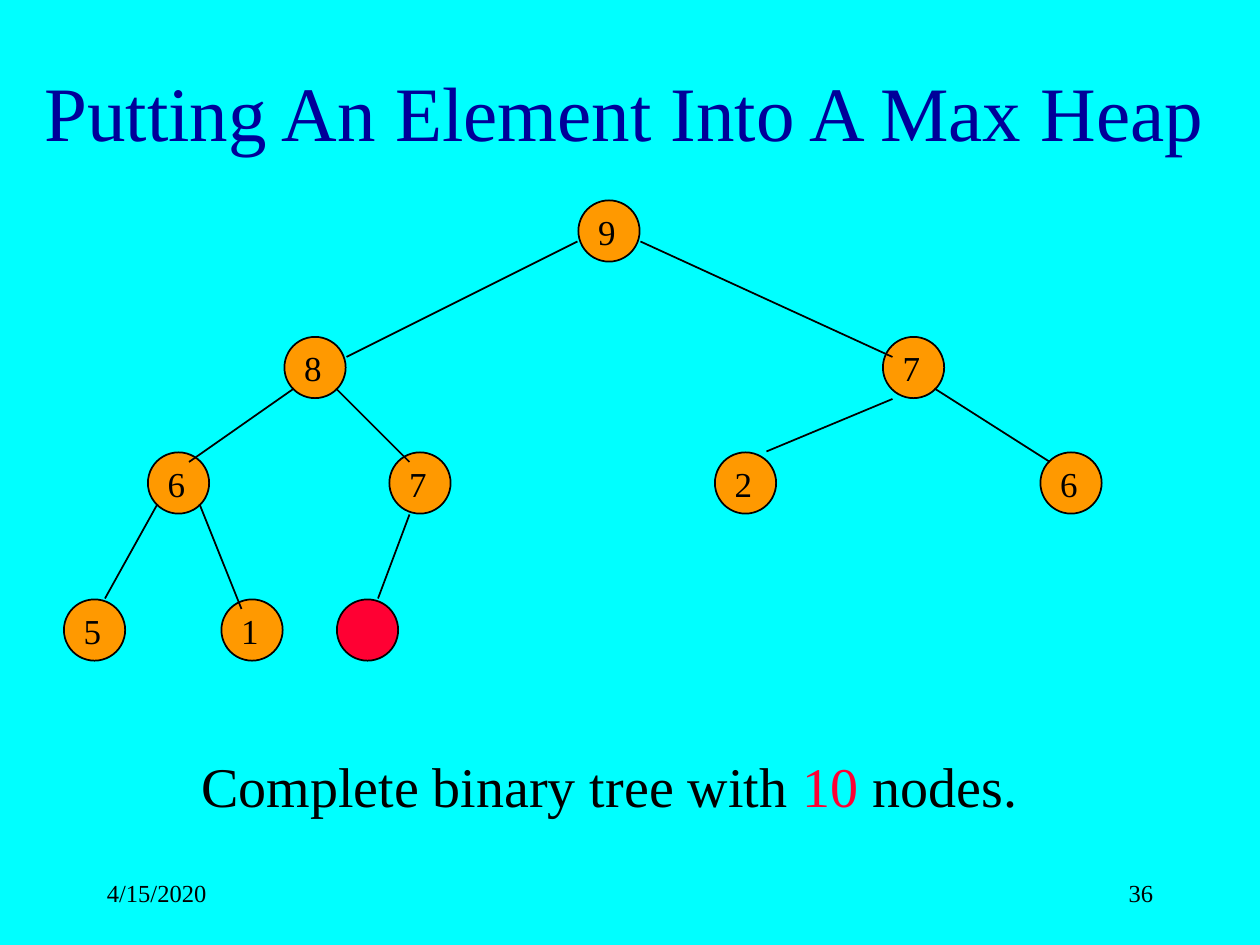
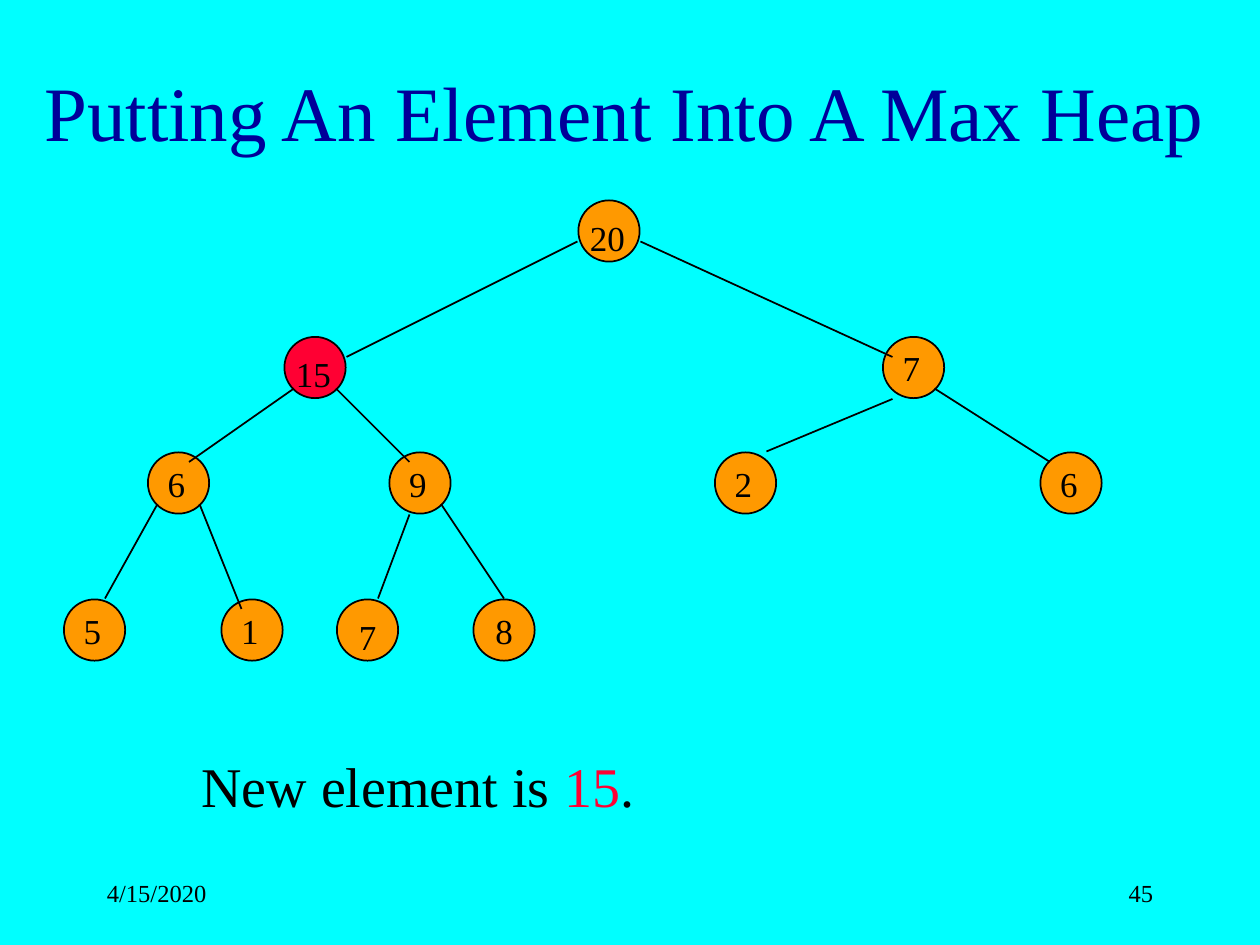
from lxml import etree
from pptx import Presentation
from pptx.dml.color import RGBColor
from pptx.enum import shapes, text
from pptx.oxml.ns import qn
from pptx.util import Pt

HUES = {"back": "00FFFF", "title": "000099", "ink": "000000",
        "node": "FF9900", "hot": "FF0033"}
FONT = "Times New Roman"
SIZE = 35  # node diameter

# Heap order: left and top of each node
ROWS = [(114.5, [330.5]),
        (192.5, [162.5, 504.5]),
        (258.5, [84.5, 222.5, 408.5, 594.5]),
        (342.5, [36.5, 126.5, 192.5, 270.5])]
SPOTS = [(x, y) for y, row in ROWS for x in row]

# Edge from the parent down to each node after the root
EDGES = [(330, 138, 198, 204), (366, 138, 510, 204),
         (168, 222, 108, 264), (192, 222, 234, 264),
         (510, 228, 438, 258), (534, 222, 600, 264),
         (90, 288, 60, 342), (114, 288, 138, 348),
         (234, 294, 216, 342), (252, 288, 288, 342)]


def hue(name):
    return RGBColor.from_string(HUES[name])


class Deck:
    def __init__(self):
        self.prs = Presentation()
        self.prs.slide_width, self.prs.slide_height = Pt(720), Pt(540)
        fill = self.prs.slide_master.background.fill
        fill.solid()
        fill.fore_color.rgb = hue("back")
        self.slide = None

    def page(self, number):
        self.slide = self.prs.slides.add_slide(self.prs.slide_layouts[6])
        self.label((6, 18, 702, 90), "Putting An Element Into A Max Heap", 44,
                   "title", text.PP_ALIGN.CENTER, text.MSO_ANCHOR.MIDDLE)
        self.label((54, 492, 150, 36), "4/15/2020", 14,
                   anchor=text.MSO_ANCHOR.MIDDLE)
        self.label((516, 492, 150, 36), number, 14, "ink",
                   text.PP_ALIGN.RIGHT, text.MSO_ANCHOR.MIDDLE)

    def letter(self, shape, words, size, color="ink",
               align=text.PP_ALIGN.LEFT, anchor=text.MSO_ANCHOR.TOP):
        frame = shape.text_frame
        frame.word_wrap = True
        frame.vertical_anchor = anchor
        para = frame.paragraphs[0]
        para.alignment = align
        para.font.name, para.font.size = FONT, Pt(size)
        para.font.color.rgb = hue(color)
        para.add_run().text = words
        return para

    def label(self, box, words, size, *style, **more):
        shape = self.slide.shapes.add_textbox(*map(Pt, box))
        return self.letter(shape, words, size, *style, **more)

    def node(self, x, y, color):
        dot = self.slide.shapes.add_shape(
            shapes.MSO_SHAPE.OVAL, Pt(x), Pt(y), Pt(SIZE), Pt(SIZE))
        dot.shadow.inherit = False
        dot.fill.solid()
        dot.fill.fore_color.rgb = hue(color)
        self.trim(dot.line)
        return dot

    def trim(self, line):
        line.color.rgb = hue("ink")
        line.width = Pt(1)

    def edge(self, ends):
        link = self.slide.shapes.add_connector(
            shapes.MSO_CONNECTOR.STRAIGHT, *map(Pt, ends))
        self.trim(link.line)
        etree.SubElement(link._element.spPr, qn("a:effectLst"))

    def tree(self, keys, hot, wide, inner):
        """Draw keys in heap order; wide maps lowered labels to widths,
        and inner is the index of a label centred in its node."""
        dots = [self.node(x, y, "hot" if i == hot else "node")
                for i, (x, y) in enumerate(SPOTS[:len(keys)])]
        for ends in EDGES[:len(keys) - 1]:
            self.edge(ends)
        for i, (key, (x, y)) in enumerate(zip(keys, SPOTS)):
            if not key:
                continue
            if i == inner:
                self.letter(dots[i], key, 20, "ink", text.PP_ALIGN.CENTER,
                            text.MSO_ANCHOR.MIDDLE)
            elif i in wide:
                shift = -0.5 if len(key) > 1 else 5.5
                self.label((x + shift, y + 5.5, wide[i], 31), key, 20)
            else:
                self.label((x + 4.25, y + 2, 24.5, 31), key, 20)

    def note(self, start, key, end):
        para = self.label((108, 426, 504, 18), start, 32)
        run = para.add_run()
        run.text = key
        run.font.color.rgb = hue("hot")
        para.add_run().text = end


def main():
    deck = Deck()

    # Empty tenth node
    deck.page("36")
    deck.note("Complete binary tree with ", "10 ", "nodes.")
    deck.tree(["9", "8", "7", "6", "7", "2", "6", "5", "1", ""], 9, {}, None)

    # New element in place
    deck.page("45")
    deck.note("New element is ", "15", ".")
    deck.tree(["20", "15", "7", "6", "9", "2", "6", "5", "1", "7", "8"],
              1, {0: 66, 1: 60, 9: 18}, 10)

    deck.prs.save("out.pptx")


if __name__ == "__main__":
    main()
